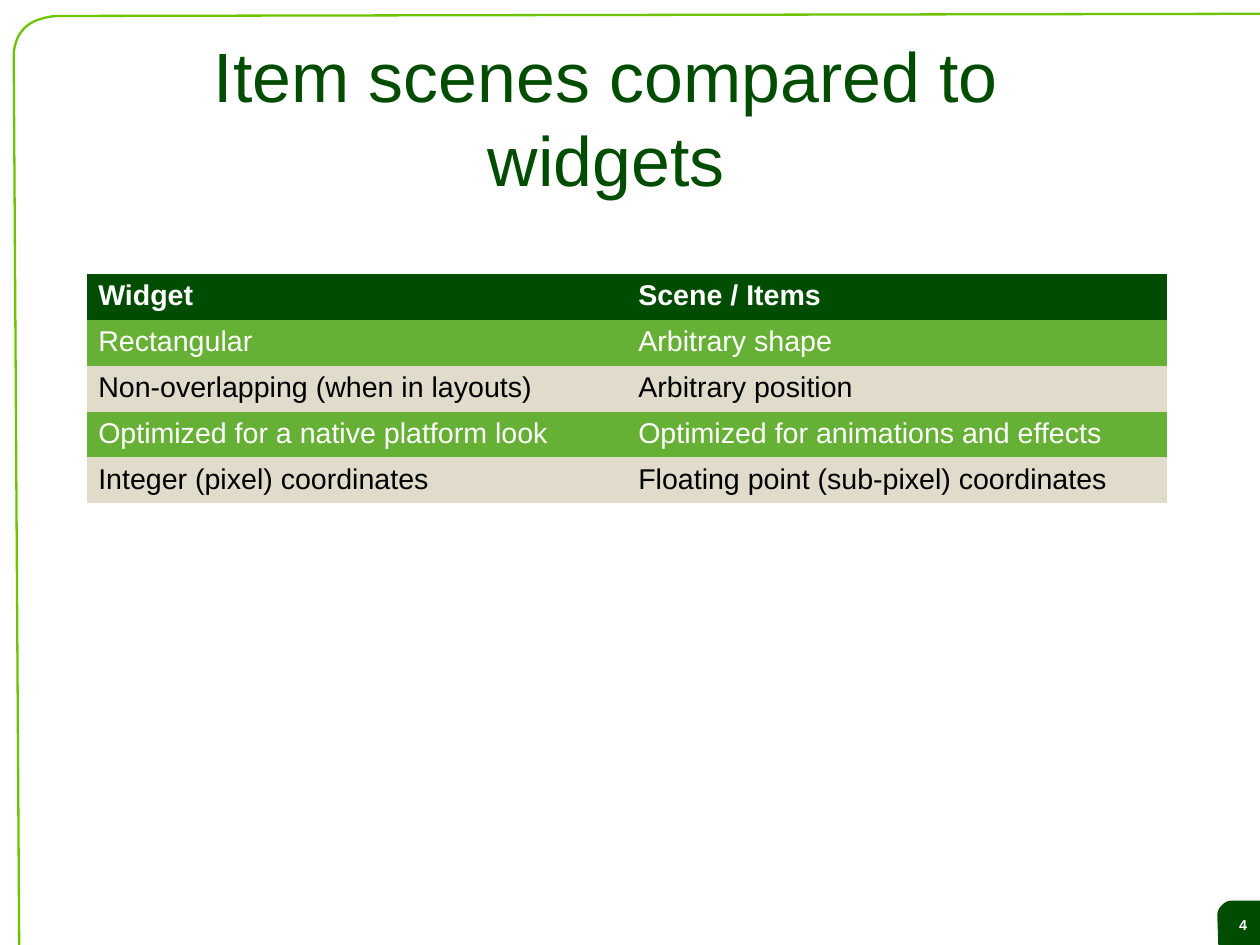
from pptx import Presentation, util as u
from pptx.dml.color import RGBColor
from pptx.enum import text

# Content
TITLE = "Item scenes compared to widgets"
PAGE = "4"
ROWS = [
    ("Widget", "Scene / Items"),
    ("Rectangular", "Arbitrary shape"),
    ("Non-overlapping (when in layouts)", "Arbitrary position"),
    ("Optimized for a native platform look", "Optimized for animations and effects"),
    ("Integer (pixel) coordinates", "Floating point (sub-pixel) coordinates"),
]

# Colours
DARK = RGBColor(0x00, 0x4C, 0x00)
GREEN = RGBColor(0x66, 0xB0, 0x36)
LIME = RGBColor(0x6D, 0xC4, 0x00)
SAND = RGBColor(0xE0, 0xDB, 0xCA)
WHITE = RGBColor(0xFF, 0xFF, 0xFF)
BLACK = RGBColor(0x00, 0x00, 0x00)

# Outlines in inches: pairs are corners, triples of pairs are curves
FRAME = [
    (0.5, 0.14),
    ((0.49, 0.14), (0.3, 0.15), (0.21, 0.25)),
    ((0.12, 0.34), (0.12, 0.48), (0.12, 0.48)),
    (0.17, 8.55), (11.33, 8.57), (11.27, 0.12),
]
TAB = [
    (10.8, 7.88), (11.1, 7.88), (11.1, 8.15),
    ((11.1, 8.19), (11.1, 8.21), (11.07, 8.25)),
    ((11.03, 8.3), (10.99, 8.3), (10.94, 8.31)),
    (10.66, 8.3), (10.65, 8.01),
    ((10.65, 8.0), (10.65, 7.96), (10.69, 7.92)),
    ((10.73, 7.88), (10.76, 7.88), (10.8, 7.88)),
]
STEPS = 12
PLAIN = "{2D5ABB26-0587-4C30-8999-92F81FD0307C}"  # table style without rules


def trace(parts):
    """Turn corners and curves into a list of points."""
    dots = [parts[0]]
    for part in parts[1:]:
        if len(part) == 2:
            dots.append(part)
            continue
        knots = (dots[-1], *part)
        for i in range(1, STEPS + 1):
            t = i / STEPS
            mix = ((1 - t) ** 3, 3 * t * (1 - t) ** 2, 3 * t * t * (1 - t), t ** 3)
            dots.append(tuple(sum(m * k[ax] for m, k in zip(mix, knots)) for ax in (0, 1)))
    return [(u.Inches(x), u.Inches(y)) for x, y in dots]


def outline(slide, parts):
    first, *rest = trace(parts)
    pen = slide.shapes.build_freeform(*first)
    pen.add_line_segments(rest, close=True)
    shape = pen.convert_to_shape()
    shape.shadow.inherit = False
    return shape


def style(item, **looks):
    for name, value in looks.items():
        setattr(item, name, value)


def pad(item, side, top):
    style(item, margin_left=u.Inches(side), margin_right=u.Inches(side),
          margin_top=u.Inches(top), margin_bottom=u.Inches(top))


def write(frame, words, color, align, **looks):
    frame.text = words
    line = frame.paragraphs[0]
    line.alignment = align
    font = line.runs[0].font
    style(font, name="Arial", **looks)
    font.color.rgb = color


def main():
    # A 28 by 21 cm page
    deck = Presentation()
    style(deck, slide_width=u.Cm(28), slide_height=u.Cm(21))
    slide = deck.slides.add_slide(deck.slide_layouts[5])
    mid, left = text.PP_ALIGN.CENTER, text.PP_ALIGN.LEFT

    # Page tab and frame
    tab = outline(slide, TAB)
    tab.fill.solid()
    tab.fill.fore_color.rgb = DARK
    tab.line.fill.background()
    tab.text_frame.vertical_anchor = text.MSO_ANCHOR.MIDDLE
    pad(tab.text_frame, 0.11, 0.06)
    write(tab.text_frame, PAGE, WHITE, mid, size=u.Pt(9), bold=True)

    frame = outline(slide, FRAME)
    frame.fill.background()
    frame.line.color.rgb = LIME
    frame.line.width = u.Pt(1.45)

    # Title
    title = slide.shapes.title
    style(title, left=u.Inches(1.72), top=u.Inches(0.33),
          width=u.Inches(7.17), height=u.Inches(1.38))
    style(title.text_frame, word_wrap=True, vertical_anchor=text.MSO_ANCHOR.MIDDLE,
          auto_size=text.MSO_AUTO_SIZE.SHAPE_TO_FIT_TEXT)
    pad(title.text_frame, 0, 0)
    write(title.text_frame, TITLE, DARK, mid, size=u.Pt(44))

    # Comparison table
    high = u.Inches(0.4)
    grid = slide.shapes.add_table(len(ROWS), 2, u.Inches(0.76), u.Inches(2.4),
                                  u.Inches(9.45), high * len(ROWS))
    grid.element.find(".//{*}tableStyleId").text = PLAIN
    table = grid.table
    for r, row in enumerate(ROWS):
        table.rows[r].height = high
        fill, ink = (DARK, WHITE) if r == 0 else (GREEN, WHITE) if r % 2 else (SAND, BLACK)
        for c, words in enumerate(row):
            cell = table.cell(r, c)
            cell.fill.solid()
            cell.fill.fore_color.rgb = fill
            pad(cell, 0.1, 0.05)
            write(cell.text_frame, words, ink, left, size=u.Pt(18), bold=r == 0)

    deck.save("out.pptx")


if __name__ == "__main__":
    main()
